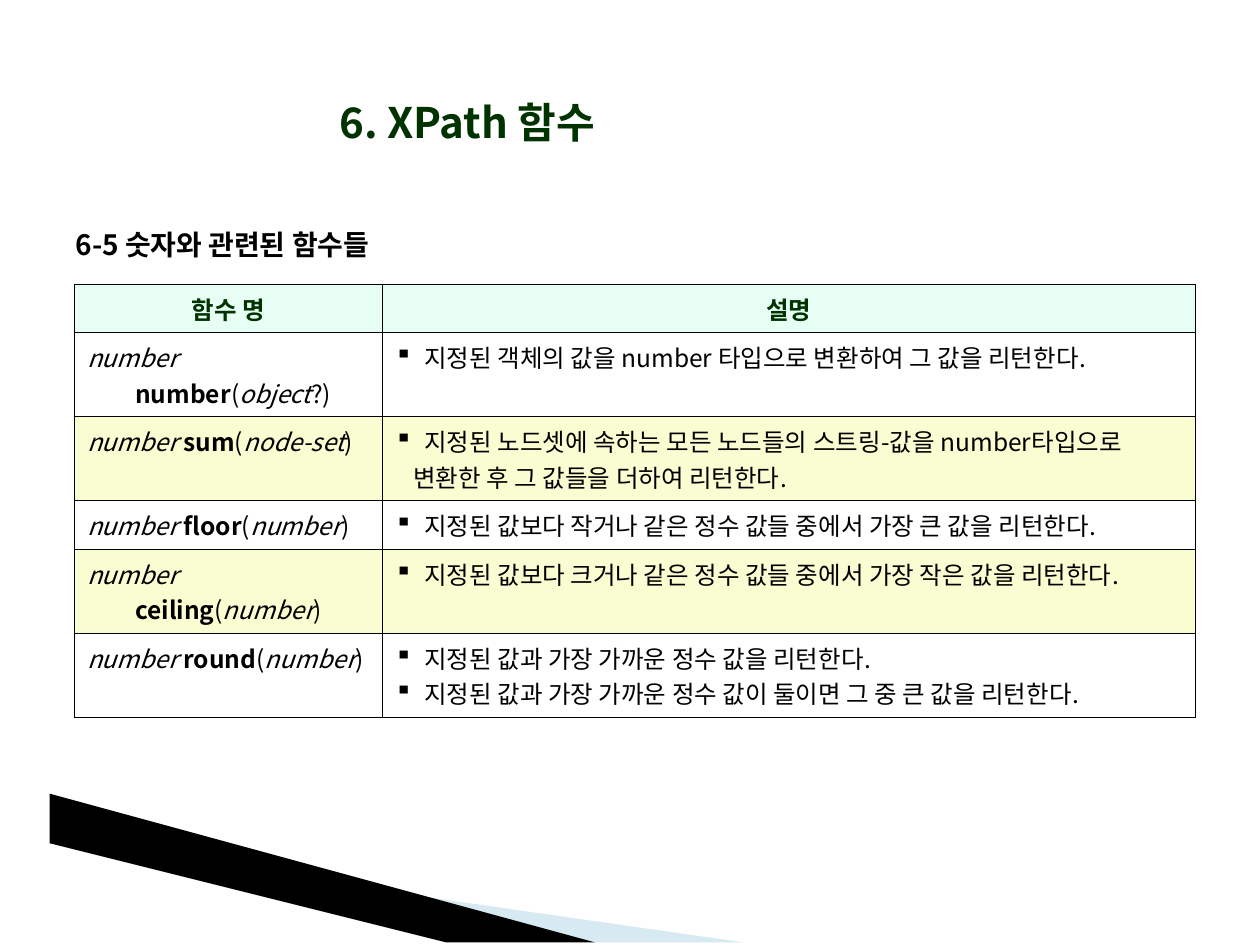
"""Build the slide on XPath number functions."""
from dataclasses import dataclass

from pptx import Presentation
from pptx.dml.color import RGBColor
from pptx.enum import text
from pptx.oxml import parse_xml
from pptx.oxml.ns import nsdecls
from pptx.util import Cm, Pt

FONT = "Noto Sans CJK KR"
BLACK, GREEN = "000000", "003300"
MINT, YELLOW = "E6FEF4", "F9FDD1"
HANG, BULLET_GAP, CONTINUATION = 0.97, 0.6, 0.38


@dataclass
class Line:
    """One line of a description, bulleted unless it continues the last."""
    text: str
    bulleted: bool = True


@dataclass
class Function:
    """One XPath function with its argument and description."""
    name: str
    arg: str
    lines: list[Line]
    suffix: str = ""
    height: float = 0.86


FUNCTIONS = [
    Function("number", "object",
             [Line("지정된 객체의 값을 number 타입으로 변환하여 그 값을 리턴한다.")], "?"),
    Function("sum", "node-set",
             [Line("지정된 노드셋에 속하는 모든 노드들의 스트링-값을 number타입으로"),
              Line("변환한 후 그 값들을 더하여 리턴한다.", False)], height=1.45),
    Function("floor", "number",
             [Line("지정된 값보다 작거나 같은 정수 값들 중에서 가장 큰 값을 리턴한다.")]),
    Function("ceiling", "number",
             [Line("지정된 값보다 크거나 같은 정수 값들 중에서 가장 작은 값을 리턴한다.")]),
    Function("round", "number",
             [Line("지정된 값과 가장 가까운 정수 값을 리턴한다."),
              Line("지정된 값과 가장 가까운 정수 값이 둘이면 그 중 큰 값을 리턴한다.")],
             height=1.45),
]


def rgb(value: str) -> RGBColor:
    """Turn a hex string into a colour."""
    return RGBColor.from_string(value)


def add_run(p, content: str, size: float = 14, color: str = BLACK,
            bold: bool = False, italic: bool = False) -> None:
    """Add one formatted run to a paragraph."""
    r = p.add_run()
    r.text = content
    f = r.font
    f.size, f.bold, f.italic, f.name = Pt(size), bold, italic, FONT
    f.color.rgb = rgb(color)
    r._r.get_or_add_rPr().append(
        parse_xml(f'<a:ea {nsdecls("a")} typeface="{FONT}"/>'))


def set_indent(p, left: float, first: float, bullet: str = "") -> None:
    """Set the indents in centimetres and the bullet of a paragraph."""
    pPr = p._p.get_or_add_pPr()
    pPr.set("marL", str(Cm(left)))
    pPr.set("indent", str(Cm(first)))
    mark = f'buChar {nsdecls("a")} char="{bullet}"' if bullet else f'buNone {nsdecls("a")}'
    pPr.append(parse_xml(f"<a:{mark}/>"))


def fill_placeholder(sp, box: tuple, content: str, size: float, color: str,
                     align, anchor) -> None:
    """Move a placeholder and give it a single bold line."""
    sp.left, sp.top, sp.width, sp.height = map(Cm, box)
    tf = sp.text_frame
    tf.auto_size = text.MSO_AUTO_SIZE.NONE
    tf.vertical_anchor = anchor
    p = tf.paragraphs[0]
    set_indent(p, 0, 0)
    p.alignment, p.space_before = align, Pt(0)
    add_run(p, content, size, color, bold=True)


def add_wedge(s, points: list[tuple], color: str, alpha: int = 100) -> None:
    """Draw one filled corner wedge from points in centimetres."""
    builder = s.shapes.build_freeform(*points[0], scale=Cm(1))
    builder.add_line_segments(points[1:], close=True)
    sp = builder.convert_to_shape()
    sp.shadow.inherit = False
    sp.line.fill.background()
    sp.fill.solid()
    sp.fill.fore_color.rgb = rgb(color)
    if alpha < 100:
        sp.fill._xPr.solidFill[0].append(
            parse_xml(f'<a:alpha {nsdecls("a")} val="{alpha * 1000}"/>'))


def style_cell(cell, color: str = "") -> None:
    """Give a cell thin black borders and an optional fill."""
    tcPr = cell._tc.get_or_add_tcPr()
    for side in "LRTB":
        tcPr.append(parse_xml(
            f'<a:ln{side} {nsdecls("a")} w="{Pt(0.45)}"><a:solidFill>'
            f'<a:srgbClr val="{BLACK}"/></a:solidFill></a:ln{side}>'))
    if color:
        cell.fill.solid()
        cell.fill.fore_color.rgb = rgb(color)
    else:
        cell.fill.background()


def write_signature(cell, fn: Function) -> None:
    """Write the return type, name and argument of a function."""
    p = cell.text_frame.paragraphs[0]
    set_indent(p, HANG, -HANG)
    add_run(p, "number ", italic=True)
    add_run(p, fn.name, bold=True)
    add_run(p, "(")
    add_run(p, fn.arg, italic=True)
    add_run(p, fn.suffix + ")")


def write_description(cell, lines: list[Line]) -> None:
    """Write the description lines of a function."""
    tf = cell.text_frame
    for i, line in enumerate(lines):
        p = tf.add_paragraph() if i else tf.paragraphs[0]
        if line.bulleted:
            set_indent(p, BULLET_GAP, -BULLET_GAP, "▪")
        else:
            set_indent(p, CONTINUATION, 0)
        add_run(p, line.text)


def add_function_table(s) -> None:
    """Draw the table of functions."""
    heights = [0.86] + [fn.height for fn in FUNCTIONS]
    widths = [6.2, 16.4]
    table = s.shapes.add_table(len(heights), 2, Cm(1.5), Cm(5.73),
                               Cm(sum(widths)), Cm(sum(heights))).table
    table.first_row = table.horz_banding = False
    for column, width in zip(table.columns, widths):
        column.width = Cm(width)
    for row, height in zip(table.rows, heights):
        row.height = Cm(height)
    for col, label in enumerate(("함수 명", "설명")):
        cell = table.cell(0, col)
        style_cell(cell, MINT)
        p = cell.text_frame.paragraphs[0]
        p.alignment = text.PP_ALIGN.CENTER
        add_run(p, label, color=GREEN, bold=True)
    for row, fn in enumerate(FUNCTIONS, 1):
        for col in range(2):
            style_cell(table.cell(row, col), "" if row % 2 else YELLOW)
        write_signature(table.cell(row, 0), fn)
        write_description(table.cell(row, 1), fn.lines)


def main() -> None:
    """Build and save the slide."""
    prs = Presentation()
    prs.slide_width, prs.slide_height = Cm(25.4), Cm(19.05)
    s = prs.slides.add_slide(prs.slide_layouts[1])
    add_wedge(s, [(1.4, 16.54), (15.11, 19.05), (11.58, 19.05), (1.4, 16.51)],
              "9FCBDC", 40)
    add_wedge(s, [(1.35, 16.48), (11.58, 19.05), (9.4, 19.05), (1.37, 16.51)], BLACK)
    fill_placeholder(s.shapes.title, (4.3, 0.86, 10.24, 3.18), "6. XPath 함수", 24,
                     GREEN, text.PP_ALIGN.CENTER, text.MSO_ANCHOR.MIDDLE)
    fill_placeholder(s.placeholders[1], (1.27, 4.45, 23.04, 1.09),
                     "6-5 숫자와 관련된 함수들", 16, BLACK,
                     text.PP_ALIGN.JUSTIFY, text.MSO_ANCHOR.TOP)
    add_function_table(s)
    prs.save("out.pptx")


if __name__ == "__main__":
    main()
